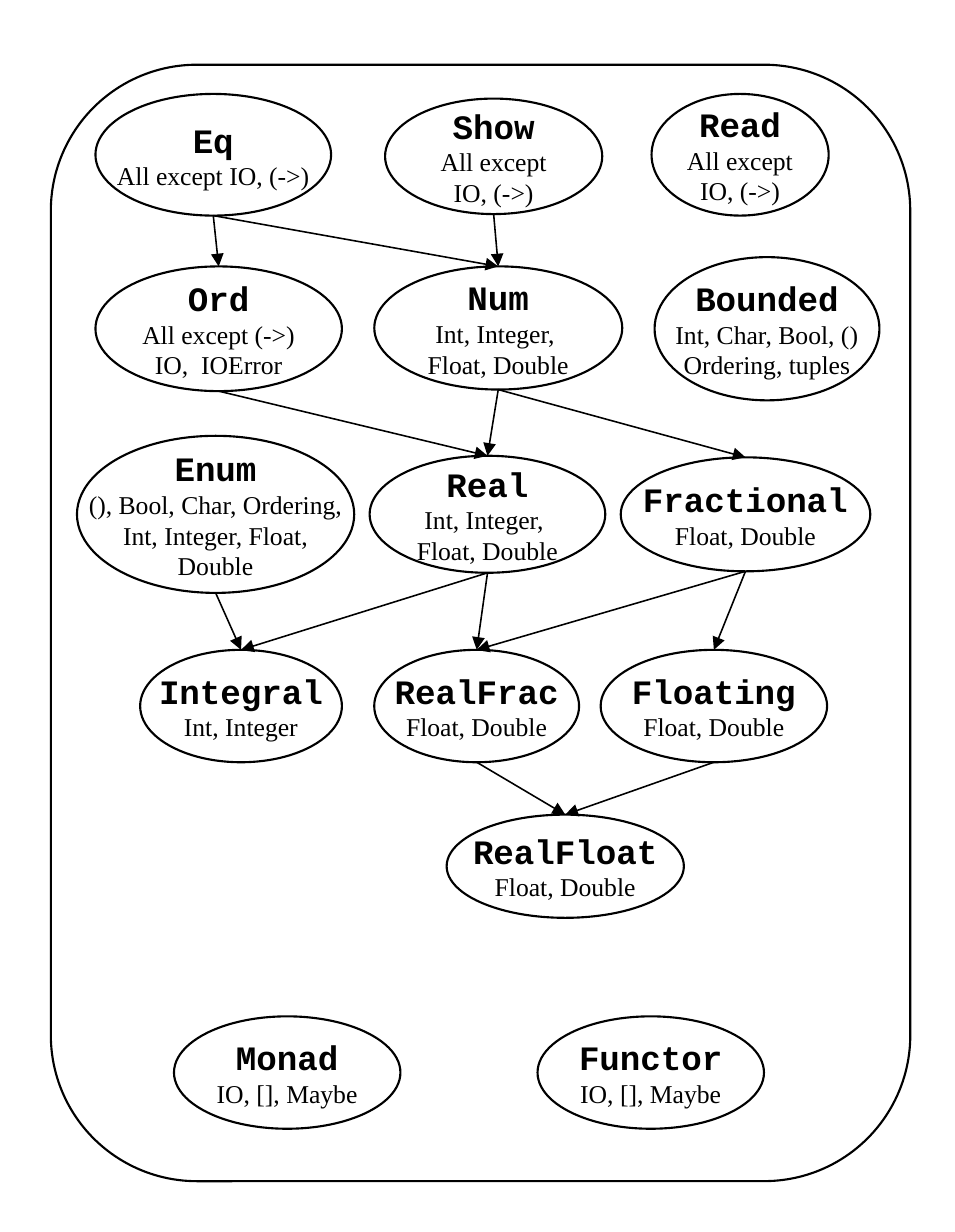
from dataclasses import dataclass

from lxml.etree import SubElement
from pptx import Presentation
from pptx.dml.color import RGBColor
from pptx.enum.shapes import MSO_CONNECTOR, MSO_SHAPE
from pptx.enum.text import MSO_ANCHOR, PP_ALIGN
from pptx.oxml.ns import qn
from pptx.shapes.autoshape import Shape
from pptx.slide import Slide
from pptx.util import Inches, Pt

BLACK = "000000"
NAME_FONT = "Courier New"
TYPES_FONT = "Times New Roman"


@dataclass(frozen=True)
class TypeClass:
    """An ellipse: place and size in inches, class name, lines of instances."""
    left: float
    top: float
    width: float
    height: float
    name: str
    instances: tuple[str, ...]

    @property
    def center(self) -> float:
        return self.left + self.width / 2

    @property
    def bottom(self) -> float:
        return self.top + self.height


TYPE_CLASSES = (
    TypeClass(0.62, 0.61, 1.53, 0.79, "Eq", ("All except IO, (->)",)),
    TypeClass(2.5, 0.64, 1.41, 0.75, "Show", ("All except", "IO, (->)")),
    TypeClass(4.23, 0.61, 1.15, 0.79, "Read", ("All except", "IO, (->)")),
    TypeClass(0.62, 1.73, 1.6, 0.81, "Ord", ("All except (->)", "IO,  IOError")),
    TypeClass(2.43, 1.73, 1.61, 0.8, "Num", ("Int, Integer, ", "Float, Double")),
    TypeClass(4.25, 1.67, 1.46, 0.93, "Bounded",
              ("Int, Char, Bool, ()", "Ordering, tuples")),
    TypeClass(0.5, 2.83, 1.8, 1.02, "Enum",
              ("(), Bool, Char, Ordering,", "Int, Integer, Float,", "Double")),
    TypeClass(2.4, 2.96, 1.53, 0.76, "Real", ("Int, Integer, ", "Float, Double")),
    TypeClass(4.03, 2.97, 1.62, 0.74, "Fractional", ("Float, Double",)),
    TypeClass(0.91, 4.22, 1.31, 0.73, "Integral", ("Int, Integer",)),
    TypeClass(2.43, 4.22, 1.33, 0.73, "RealFrac", ("Float, Double",)),
    TypeClass(3.9, 4.22, 1.47, 0.73, "Floating", ("Float, Double",)),
    TypeClass(2.9, 5.29, 1.54, 0.67, "RealFloat", ("Float, Double",)),
    TypeClass(1.13, 6.6, 1.47, 0.73, "Monad", ("IO, [], Maybe",)),
    TypeClass(3.49, 6.6, 1.47, 0.73, "Functor", ("IO, [], Maybe",)),
)

SUBCLASSES = {
    "Eq": ("Ord", "Num"),
    "Show": ("Num",),
    "Ord": ("Real",),
    "Num": ("Real", "Fractional"),
    "Enum": ("Integral",),
    "Real": ("Integral", "RealFrac"),
    "Fractional": ("RealFrac", "Floating"),
    "RealFrac": ("RealFloat",),
    "Floating": ("RealFloat",),
}


def color(value: str) -> RGBColor:
    return RGBColor.from_string(value)


def add_outline(slide: Slide, kind: MSO_SHAPE, left: float, top: float,
                width: float, height: float) -> Shape:
    """Add an unfilled shape with a thin black line."""
    shape = slide.shapes.add_shape(
        kind, Inches(left), Inches(top), Inches(width), Inches(height))
    shape.shadow.inherit = False
    shape.fill.background()
    shape.line.color.rgb = color(BLACK)
    shape.line.width = Pt(1)
    return shape


def add_type_class(slide: Slide, item: TypeClass) -> None:
    shape = add_outline(slide, MSO_SHAPE.OVAL, item.left, item.top,
                        item.width, item.height)
    text_frame = shape.text_frame
    text_frame.word_wrap = False
    text_frame.vertical_anchor = MSO_ANCHOR.MIDDLE
    text_frame.text = "\n".join((item.name, *item.instances))
    for index, paragraph in enumerate(text_frame.paragraphs):
        is_name = index == 0
        paragraph.alignment = PP_ALIGN.CENTER
        font = paragraph.runs[0].font
        font.name = NAME_FONT if is_name else TYPES_FONT
        font.size = Pt(16 if is_name else 12)
        font.bold = is_name
        font.color.rgb = color(BLACK)


def add_arrow(slide: Slide, parent: TypeClass, child: TypeClass) -> None:
    connector = slide.shapes.add_connector(
        MSO_CONNECTOR.STRAIGHT,
        Inches(parent.center), Inches(parent.bottom),
        Inches(child.center), Inches(child.top))
    connector.line.color.rgb = color(BLACK)
    connector.line.width = Pt(0.75)
    SubElement(connector.line._get_or_add_ln(), qn("a:tailEnd"), type="triangle")
    SubElement(connector._element.spPr, qn("a:effectLst"))


def main() -> None:
    presentation = Presentation()
    presentation.slide_width = Inches(6.2)
    presentation.slide_height = Inches(8)
    slide = presentation.slides.add_slide(presentation.slide_layouts[6])

    for item in TYPE_CLASSES:
        add_type_class(slide, item)

    by_name = {item.name: item for item in TYPE_CLASSES}
    for parent, children in SUBCLASSES.items():
        for child in children:
            add_arrow(slide, by_name[parent], by_name[child])

    frame = add_outline(slide, MSO_SHAPE.ROUNDED_RECTANGLE, 0.33, 0.42, 5.58, 7.25)
    frame.adjustments[0] = 0.17

    presentation.save("out.pptx")


if __name__ == "__main__":
    main()
